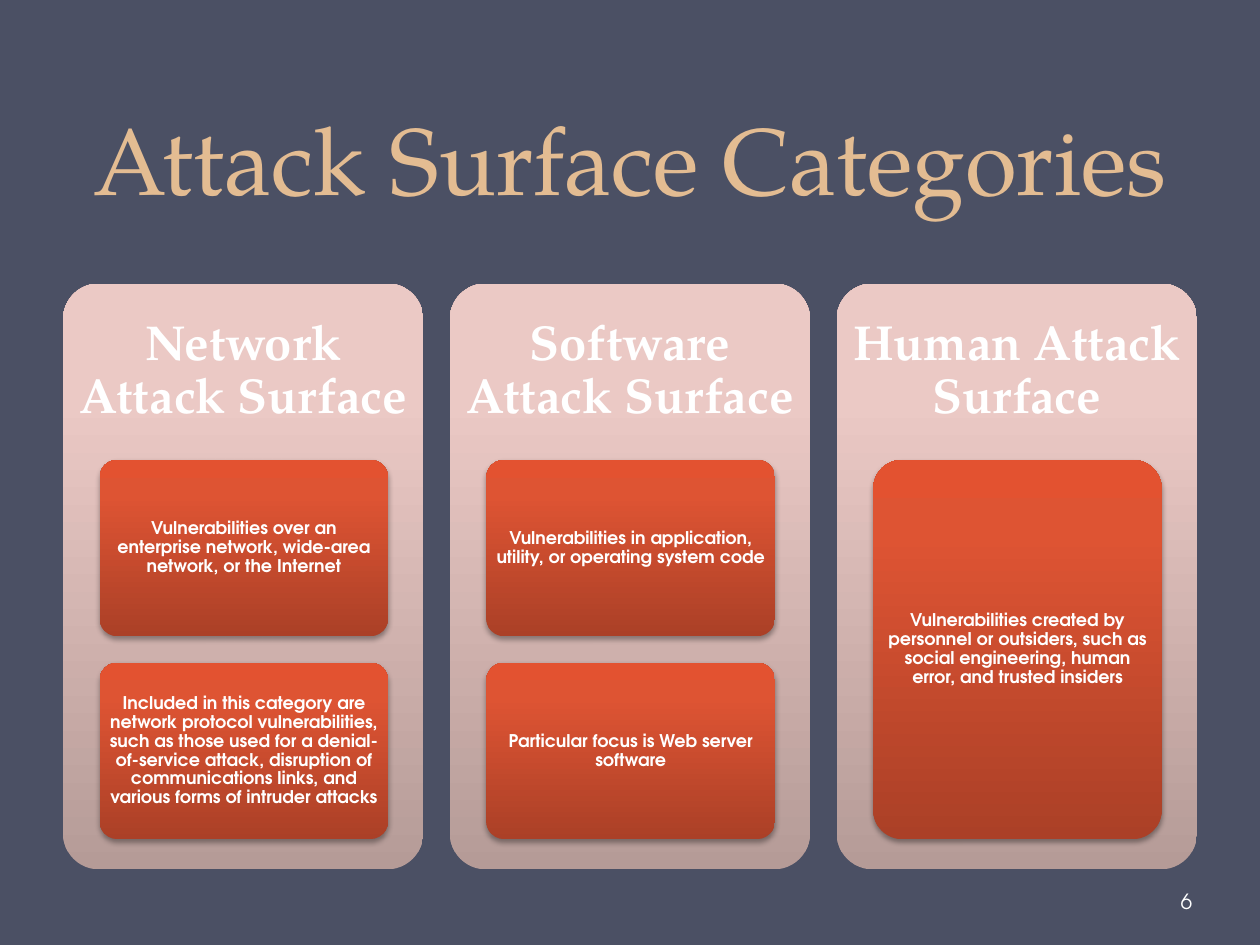
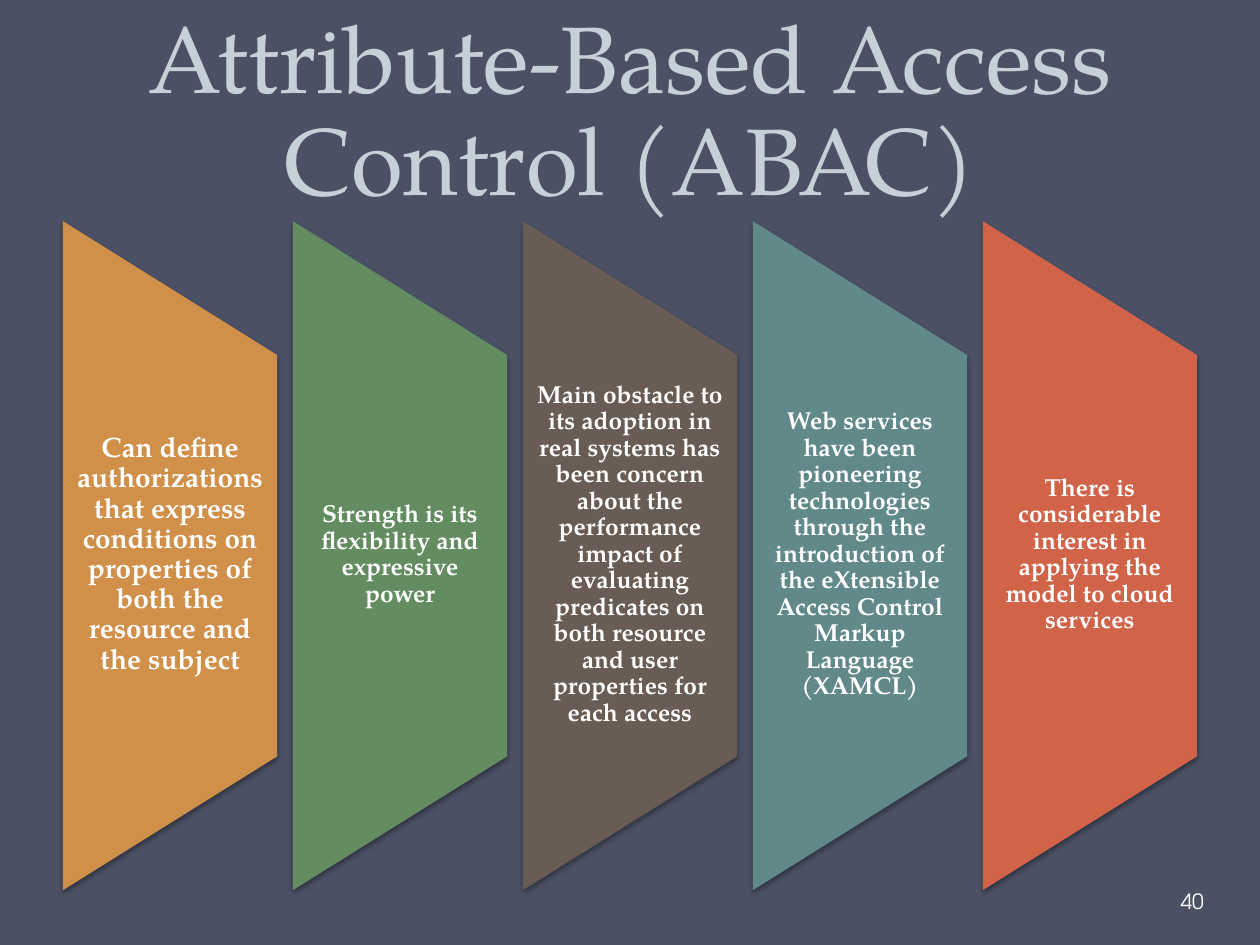
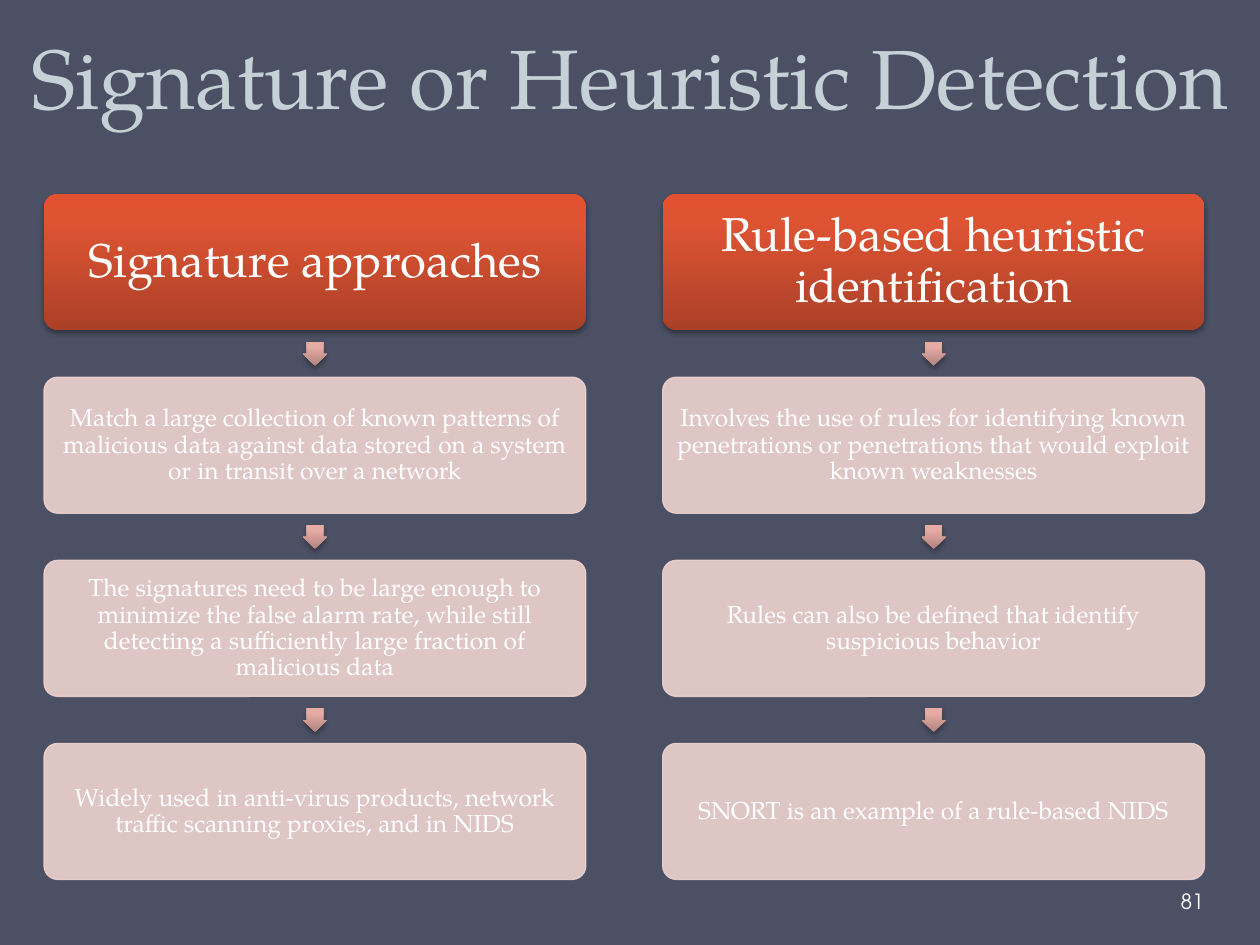
import pptx
import pptx.dml.color
import pptx.enum.shapes
import pptx.enum.text
import pptx.oxml
import pptx.oxml.ns
import pptx.util
from pptx.util import Inches

KIND = pptx.enum.shapes.MSO_SHAPE
ALIGN = pptx.enum.text.PP_ALIGN
ANCHOR = pptx.enum.text.MSO_ANCHOR
SERIF = "TeX Gyre Pagella"
SANS = "TeX Gyre Adventor"

BACK = "4B5064"
WHITE = "FFFFFF"
SAND = "E3BC92"
MIST = "C5D1D7"
PINK = "EED3D0"
# Gradients run from the bottom edge to the top edge.
PALE = [(0, "B59B97"), (80, "EBC9C5"), (100, "EDC9C5")]
RED = [(0, "AB4027"), (80, "DE5433"), (100, "E35230")]
ROSE = [(0, "B1847F"), (80, "E5ACA4"), (100, "E8ACA4")]

AREAS = [
    ("Network Attack Surface", [
        "Vulnerabilities over an enterprise network, wide-area network, or the Internet",
        "Included in this category are network protocol vulnerabilities, such as those "
        "used for a denial-of-service attack, disruption of communications links, and "
        "various forms of intruder attacks"]),
    ("Software Attack Surface", [
        "Vulnerabilities in application, utility, or operating system code",
        "Particular focus is Web server software"]),
    ("Human Attack Surface", [
        "Vulnerabilities created by personnel or outsiders, such as social engineering, "
        "human error, and trusted insiders"]),
]
TRAITS = [
    ("D19049", 16, "Can define authorizations that express conditions on properties of "
     "both the resource and the subject"),
    ("648C61", 14, "Strength is its flexibility and expressive power"),
    ("695C54", 14, "Main obstacle to its adoption in real systems has been concern about "
     "the performance impact of evaluating predicates on both resource and user "
     "properties for each access"),
    ("61898A", 14, "Web services have been pioneering technologies through the introduction "
     "of the eXtensible Access Control Markup Language (XAMCL)"),
    ("D16349", 14, "There is considerable interest in applying the model to cloud services"),
]
CHAINS = [
    ("Signature approaches", [
        "Match a large collection of known patterns of malicious data against data stored "
        "on a system or in transit over a network",
        "The signatures need to be large enough to minimize the false alarm rate, while "
        "still detecting a sufficiently large fraction of malicious data",
        "Widely used in anti-virus products, network traffic scanning proxies, and in NIDS"]),
    ("Rule-based heuristic identification", [
        "Involves the use of rules for identifying known penetrations or penetrations that "
        "would exploit known weaknesses",
        "Rules can also be defined that identify suspicious behavior",
        "SNORT is an example of a rule-based NIDS"]),
]


def rgb(code):
    return pptx.dml.color.RGBColor.from_string(code)


def node(text):
    """Parse one XML element that uses the a: prefix."""
    head, tail = text.split(">", 1)
    space = " " + pptx.oxml.ns.nsdecls("a")
    if head.endswith("/"):
        return pptx.oxml.parse_xml(head[:-1] + space + "/>" + tail)
    return pptx.oxml.parse_xml(head + space + ">" + tail)


def write(shape, text, size=14, font=SERIF, color=WHITE, bold=False,
          align=ALIGN.CENTER, anchor=ANCHOR.MIDDLE, space=0.9, pad=(0.1, 0.05)):
    frame = shape.text_frame
    frame.auto_size = pptx.enum.text.MSO_AUTO_SIZE.NONE
    frame.word_wrap = True
    frame.vertical_anchor = anchor
    frame.margin_left = frame.margin_right = Inches(pad[0])
    frame.margin_top = frame.margin_bottom = Inches(pad[1])
    para = frame.paragraphs[0]
    para.alignment = align
    para.line_spacing = space
    run = para.add_run()
    run.text = text
    run.font.name = font
    run.font.size = pptx.util.Pt(size)
    run.font.bold = bold
    run.font.color.rgb = rgb(color)


def label(slide, box, text, **form):
    write(slide.shapes.add_textbox(*map(Inches, box)), text, **form)


def shade(fill, stops):
    fill.gradient()
    fill.gradient_angle = 90
    stop_list = fill._xPr.find(".//" + pptx.oxml.ns.qn("a:gsLst"))
    for old in list(stop_list):
        stop_list.remove(old)
    for place, code in stops:
        stop_list.append(node(
            f'<a:gs pos="{place * 1000}"><a:srgbClr val="{code}"/></a:gs>'))


def fade(part, percent):
    """Make every plain colour below an XML part see-through."""
    for tone in part.iter(pptx.oxml.ns.qn("a:srgbClr")):
        tone.append(node(f'<a:alpha val="{percent * 1000}"/>'))


def drop(shape):
    """Cast a soft shadow straight down."""
    effects = shape._element.spPr.find(pptx.oxml.ns.qn("a:effectLst"))
    effects.append(node(
        '<a:outerShdw blurRad="39370" dist="22860" dir="5400000" rotWithShape="0">'
        '<a:srgbClr val="000000"><a:alpha val="35000"/></a:srgbClr></a:outerShdw>'))


def block(slide, kind, box, fill, shadow=True, adjust=()):
    """Add a borderless shape; fill is a colour or a list of stops."""
    shape = slide.shapes.add_shape(kind, *map(Inches, box))
    for spot, value in enumerate(adjust):
        shape.adjustments[spot] = value
    if isinstance(fill, str):
        shape.fill.solid()
        shape.fill.fore_color.rgb = rgb(fill)
    else:
        shade(shape.fill, fill)
    shape.line.fill.background()
    shape.shadow.inherit = False
    if shadow:
        drop(shape)
    return shape


def card(slide, box, fill, shadow=True):
    return block(slide, KIND.ROUNDED_RECTANGLE, box, fill, shadow, [0.1])


def veil(slide, box):
    """Add a translucent pink card with a thin edge."""
    shape = card(slide, box, PINK, shadow=False)
    shape.line.color.rgb = rgb(PINK)
    shape.line.width = pptx.util.Pt(0.75)
    fade(shape._element.spPr, 90)
    return shape


def start(deck, title, number, color=MIST, size=54, box=(0.5, 0, 9, 1.75)):
    """Add a slide with its title and page number."""
    slide = deck.slides.add_slide(deck.slide_layouts[5])
    head = slide.shapes.title
    head.left, head.top, head.width, head.height = map(Inches, box)
    write(head, title, size=size, color=color, anchor=ANCHOR.BOTTOM,
          space=pptx.util.Pt(58))
    label(slide, (9.34, 6.95, 0.61, 0.4), str(number), size=12, font=SANS,
          align=ALIGN.LEFT, space=1, pad=(0.03, 0.05))
    return slide


def panels(slide):
    width, top, floor, gap = 2.86, 3.65, 6.66, 0.21
    for col, (name, notes) in enumerate(AREAS):
        left = 0.5 + col * 3.07
        card(slide, (left, 2.25, width, 4.65), PALE, shadow=False)
        label(slide, (left, 2.25, width, 1.39), name, size=28, bold=True,
              pad=(0.12, 0.12))
        high = (floor - top - gap * (len(notes) - 1)) / len(notes)
        for row, note in enumerate(notes):
            box = (left + 0.29, top + row * (high + gap), 2.29, high)
            write(card(slide, box, RED), note, size=10, font=SANS, bold=True,
                  pad=(0.03, 0.02))


def blades(slide):
    width, high, middle = 1.7, 5.31, 4.41
    for col, (color, size, text) in enumerate(TRAITS):
        left = 0.5 + col * 1.825
        box = (left + (width - high) / 2, middle - width / 2, high, width)
        blade = block(slide, KIND.FLOWCHART_MANUAL_OPERATION, box, color)
        blade.rotation = 270
        label(slide, (left, 2.81, width, 3.18), text, size=size, bold=True,
              pad=(0.1, 0))


def chains(slide):
    width, high, top, arrow = 4.3, 1.08, 1.54, 0.19
    step = 4.36 / 3
    for col, (name, notes) in enumerate(CHAINS):
        left = 0.35 + col * 4.91
        write(card(slide, (left, top, width, high), RED), name, size=27,
              pad=(0.04, 0.04))
        for row, note in enumerate(notes, 1):
            line = top + row * step
            block(slide, KIND.DOWN_ARROW,
                  (left + (width - arrow) / 2, line - 0.28, arrow, arrow),
                  ROSE, adjust=[0.67, 0.5])
            write(veil(slide, (left, line, width, high)), note, pad=(0.02, 0.02))


def main():
    deck = pptx.Presentation()
    deck.slide_width, deck.slide_height = Inches(10), Inches(7.5)
    back = deck.slide_master.background.fill
    back.solid()
    back.fore_color.rgb = rgb(BACK)

    panels(start(deck, "Attack Surface Categories", 6, color=SAND))
    blades(start(deck, "Attribute-Based Access Control (ABAC)", 40))
    chains(start(deck, "Signature or Heuristic Detection", 81, size=48,
                 box=(0, -0.42, 10, 1.47)))
    deck.save("out.pptx")


if __name__ == "__main__":
    main()
